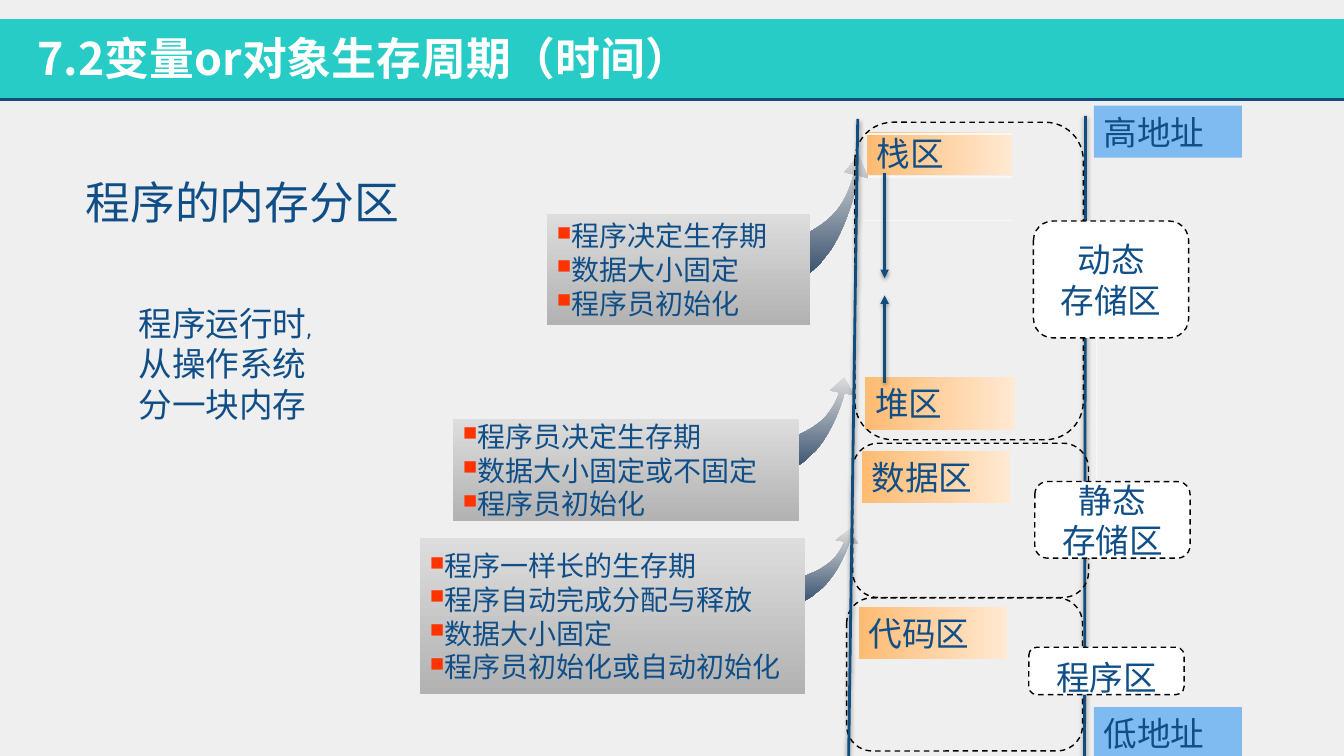
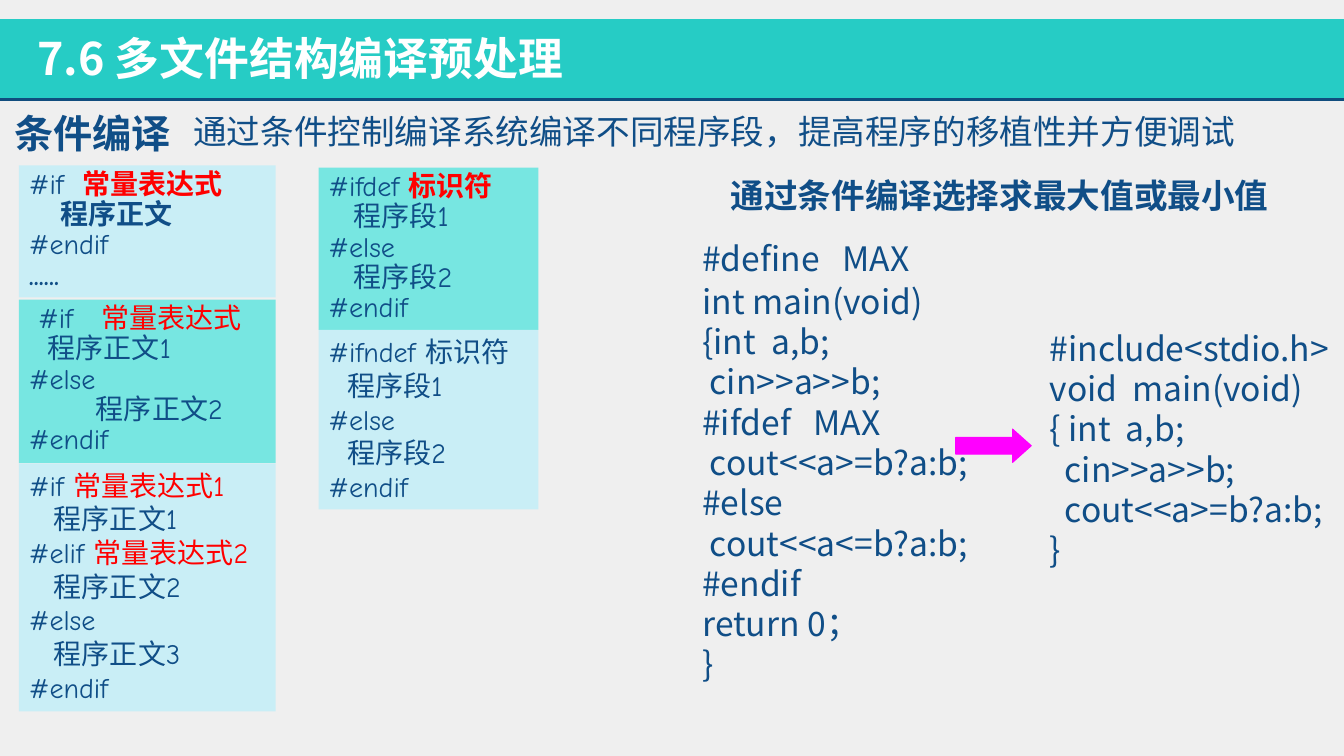
from dataclasses import dataclass, replace

from lxml import etree
from pptx import Presentation
from pptx.dml.color import RGBColor
from pptx.enum.dml import MSO_LINE_DASH_STYLE as Dash
from pptx.enum.shapes import MSO_CONNECTOR as Connector, MSO_SHAPE as Shape
from pptx.enum.text import MSO_ANCHOR as Anchor, MSO_AUTO_SIZE as AutoSize, PP_ALIGN as Align
from pptx.oxml.ns import qn
from pptx.util import Pt

WIDTH, HEIGHT = 960, 540
BACKGROUND, BAND, RULE, INK = "EFEFEF", "26CCC5", "104D7E", "104E87"
WHITE, PALE_LINE, RED, BULLET = "FFFFFF", "F8F8F8", "FF0000", "FF3300"
ADDRESS, PALE_PANEL, TEAL_PANEL, MAGENTA = "7FBAF0", "C9EEF6", "77E6E1", "FF00FF"
REGION_GRADIENT = ("FEBB72", "FFE9D2", 0)
NOTE_GRADIENT = ("DDDDDD", "B2B2B2", 270)
SWOOSH_GRADIENT = ("DDDDDD", "3C5470", 270)
SANS = "Noto Sans CJK JP"

# Curved arrow in a unit square: one point makes a line, three make a Bezier curve.
SWOOSH_START = (0, 0.78)
SWOOSH = [
    [(0.21, 0.73), (0.27, 0.75), (0.53, 0.6)], [(0.78, 0.46), (0.83, 0.25), (0.86, 0.17)],
    [(0.81, 0.16), (0.77, 0.15), (0.77, 0.15)], [(0.91, 0)], [(1, 0.2)], [(0.91, 0.18)],
    [(0.87, 0.36), (0.76, 0.65), (0.63, 0.81)], [(0.48, 0.97), (0.59, 0.87), (0.43, 1)],
]


@dataclass(frozen=True)
class TextStyle:
    size: int = 24
    font: str = "Comic Neue"
    color: str = INK
    bold: bool = False


BODY = TextStyle()
SMALL = TextStyle(20)
CODE = TextStyle(font=SANS)
TITLE = TextStyle(32, SANS, WHITE, True)


def rgb(value):
    return RGBColor.from_string(value)


def paint(shape, fill=None, line=None):
    """Fill with a colour, a (start, end, angle) gradient or nothing."""
    shape.shadow.inherit = False
    if fill is None:
        shape.fill.background()
    elif isinstance(fill, str):
        shape.fill.solid()
        shape.fill.fore_color.rgb = rgb(fill)
    else:
        shape.fill.gradient()
        shape.fill.gradient_angle = fill[2]
        for stop, color in zip(shape.fill.gradient_stops, fill):
            stop.color.rgb = rgb(color)
    if line:
        shape.line.color.rgb = rgb(line)
        shape.line.width = Pt(1)
    else:
        shape.line.fill.background()


def set_indent(paragraph, left):
    properties = paragraph._p.get_or_add_pPr()
    properties.set("marL", str(Pt(left)))
    properties.set("indent", "0")
    return properties


def add_bullet(paragraph):
    properties = set_indent(paragraph, 0)
    color = etree.SubElement(properties, qn("a:buClr"))
    etree.SubElement(color, qn("a:srgbClr"), val=BULLET)
    etree.SubElement(properties, qn("a:buSzPct"), val="70000")
    etree.SubElement(properties, qn("a:buFont"), typeface="OpenSymbol")
    etree.SubElement(properties, qn("a:buChar"), char="■")


def add_run(paragraph, text, style):
    run = paragraph.add_run()
    run.text = text
    font = run.font
    font.name, font.size, font.bold = style.font, Pt(style.size), style.bold
    font.color.rgb = rgb(style.color)
    east_asian = etree.Element(qn("a:ea"), typeface=SANS)
    run._r.rPr.find(qn("a:latin")).addnext(east_asian)


def write(shape, lines, style=BODY, align=Align.LEFT, anchor=Anchor.TOP,
          wrap=True, spacing=None, bullets=False):
    """Write lines; each is a string or a list of (text, style) runs."""
    frame = shape.text_frame
    frame.word_wrap = wrap
    frame.auto_size = AutoSize.NONE if wrap else AutoSize.SHAPE_TO_FIT_TEXT
    frame.vertical_anchor = anchor
    for index, line in enumerate(lines):
        paragraph = frame.add_paragraph() if index else frame.paragraphs[0]
        paragraph.alignment = align
        if spacing:
            paragraph.line_spacing = spacing
        if bullets:
            add_bullet(paragraph)
        for text, run_style in [(line, style)] if isinstance(line, str) else line:
            add_run(paragraph, text, run_style)


def add_box(slide, box, fill=None, line=None, kind=Shape.RECTANGLE):
    shape = slide.shapes.add_shape(kind, *map(Pt, box))
    paint(shape, fill, line)
    return shape


def add_text(slide, box, lines, style=BODY, **options):
    write(slide.shapes.add_textbox(*map(Pt, box)), lines, style, **options)


def add_line(slide, start, end, color=RULE, width=2, arrow=False, shadow=False):
    line = slide.shapes.add_connector(Connector.STRAIGHT, *map(Pt, start + end))
    line.line.color.rgb = rgb(color)
    line.line.width = Pt(width)
    if arrow:
        etree.SubElement(line.line._get_or_add_ln(), qn("a:tailEnd"), type="triangle")
    effects = etree.SubElement(line._element.spPr, qn("a:effectLst"))
    if shadow:
        outer = etree.SubElement(effects, qn("a:outerShdw"), blurRad=str(Pt(3.1)),
                                 dist=str(Pt(1.6)), dir="5400000", rotWithShape="0")
        black = etree.SubElement(outer, qn("a:srgbClr"), val="000000")
        etree.SubElement(black, qn("a:alpha"), val="38000")


def add_title_slide(presentation, title):
    slide = presentation.slides.add_slide(presentation.slide_layouts[5])
    add_box(slide, (0, 13.7, WIDTH, 57.6), BAND)
    add_line(slide, (0, 71.3), (WIDTH, 71.3))
    placeholder = slide.shapes.title
    placeholder.left, placeholder.top, placeholder.width, placeholder.height = map(
        Pt, (19.4, 18, 632, 46))
    write(placeholder, [title], TITLE)
    element = placeholder.element
    element.getparent().append(element)
    return slide


def add_tag(slide, box, text, fill):
    write(add_box(slide, box, fill), [text], anchor=Anchor.MIDDLE)


def add_dashed(slide, box, fill=None):
    shape = add_box(slide, box, fill, "000000", Shape.ROUNDED_RECTANGLE)
    shape.line.dash_style = Dash.DASH
    return shape


def add_zone(slide, frame, label, lines, drop=0):
    """Dashed frame with a white label on its right edge, its text lowered by drop."""
    add_dashed(slide, frame)
    shape = add_dashed(slide, label, WHITE)
    write(shape, lines, align=Align.CENTER, anchor=Anchor.MIDDLE)
    shape.text_frame.margin_top = Pt(3.6 + 2 * drop)


def add_swoosh(slide, box):
    left, top, width, height = box

    def place(point):
        return Pt(left + point[0] * width), Pt(top + point[1] * height)

    builder = slide.shapes.build_freeform(*place(SWOOSH_START))
    builder.add_line_segments([place(segment[-1]) for segment in SWOOSH])
    shape = builder.convert_to_shape()
    paint(shape, SWOOSH_GRADIENT)
    lines = list(shape.element.iter(qn("a:lnTo")))
    for line, segment in zip(lines, SWOOSH):
        if len(segment) == 3:
            curve = etree.Element(qn("a:cubicBezTo"))
            for x, y in map(place, segment):
                etree.SubElement(curve, qn("a:pt"), x=str(x - shape.left), y=str(y - shape.top))
            line.getparent().replace(line, curve)


def add_note(slide, box, swoosh, lines):
    add_swoosh(slide, swoosh)
    write(add_box(slide, box, NOTE_GRADIENT), lines, SMALL,
          anchor=Anchor.MIDDLE, bullets=True)


def build_memory_slide(presentation):
    slide = add_title_slide(presentation, "7.2变量or对象生存周期（时间）")
    add_line(slide, (775.4, 82.8), (774.7, HEIGHT), shadow=True)
    add_line(slide, (783.4, 220.3), (783.4, 381.6), PALE_LINE, 1)
    add_text(slide, (54, 121, 439, 45.4), ["程序的内存分区"], replace(BODY, size=32))
    add_text(slide, (91.8, 212.4, 150.5, 94.3), ["程序运行时, 从操作系统分一块内存"],
             anchor=Anchor.MIDDLE)

    regions = [
        ("数据区", (615.6, 321.8, 105.8, 37.4)),
        ("代码区", (613.4, 433.6, 105.8, 36.9)),
        ("堆区", (618, 269.3, 107.3, 37.6)),
        ("栈区", (619.2, 94.1, 103.7, 31)),
    ]
    for text, box in regions:
        add_tag(slide, box, text, REGION_GRADIENT)
    for row in range(3):
        y = 95.6 + row * 30.95
        add_line(slide, (616.3, y), (722.9, y), PALE_LINE, 1)

    add_note(slide, (299.9, 384.4, 275, 111.4), (543.8, 378, 69.1, 51.8),
             ["程序一样长的生存期", "程序自动完成分配与释放", "数据大小固定",
              "程序员初始化或自动初始化"])
    add_note(slide, (323.5, 299, 247, 73.4), (536.4, 269.3, 73.4, 64.8),
             ["程序员决定生存期", "数据大小固定或不固定", "程序员初始化"])
    add_note(slide, (390.6, 152.8, 187.9, 79.2), (546.7, 110.2, 73.4, 85),
             ["程序决定生存期", "数据大小固定", "程序员初始化"])

    add_zone(slide, (609.1, 316.6, 168.5, 110.2), (739.2, 344, 110.9, 54.7),
             ["静态", "存储区"])
    add_zone(slide, (604.8, 427, 168.5, 109.4), (734.9, 462.4, 110.9, 33.8),
             ["程序区"], drop=4)
    add_zone(slide, (610.6, 87.3, 163.2, 226.8), (738.2, 157.9, 110.9, 83.5),
             ["动态", "存储区"])

    add_line(slide, (612.7, 85), (606.2, HEIGHT), shadow=True)
    for text, top in (("低地址", 505.2), ("高地址", 75.4)):
        add_tag(slide, (781.3, top, 105.8, 37.2), text, ADDRESS)
    for start, end in ((273.6, 211), (123.8, 198.7)):
        add_line(slide, (631.9, start), (631.9, end), arrow=True, shadow=True)


def build_preprocessing_slide(presentation):
    slide = add_title_slide(presentation, "7.6 多文件结构编译预处理")
    bold, red = replace(SMALL, bold=True), replace(SMALL, color=RED)
    red_bold = replace(red, bold=True)
    add_text(slide, (3.2, 74.2, 128.2, 41), ["条件编译"], TextStyle(28, SANS, bold=True),
             wrap=False)
    add_text(slide, (131, 75.6, 798.5, 36),
             ["通过条件控制编译系统编译不同程序段，提高程序的移植性并方便调试"])

    left, right = (13.5, 183.4), (227.5, 157)
    panels = [
        (left, 118.1, 94.3, PALE_PANEL, 0.9,
         [[("#if  ", SMALL), ("常量表达式", red_bold)], [("     程序正文", bold)],
          "#endif", [("......", bold)]]),
        (left, 214, 116.6, TEAL_PANEL, 0.9,
         [[(" #if   ", SMALL), ("常量表达式", red)], "   程序正文1", "#else",
          "程序正文2", "#endif"]),
        (left, 331, 177.1, PALE_PANEL, None,
         [[("#if ", SMALL), ("常量表达式1", red)], "    程序正文1",
          [("#elif ", SMALL), ("常量表达式2", red)], "    程序正文2", "#else",
          "    程序正文3", "#endif"]),
        (right, 119.7, 115.9, TEAL_PANEL, 0.9,
         [[("#ifdef ", SMALL), ("标识符", red_bold)], "    程序段1", "#else",
          "    程序段2", "#endif"]),
        (right, 235.7, 128.2, PALE_PANEL, None,
         ["#ifndef 标识符", "   程序段1", "#else", "   程序段2", "#endif"]),
    ]
    for (x, width), top, height, fill, spacing, lines in panels:
        panel = add_box(slide, (x, top, width, height), fill)
        write(panel, lines, SMALL, spacing=spacing)
        for paragraph in panel.text_frame.paragraphs:
            if paragraph.text == "程序正文2":
                set_indent(paragraph, 48)

    add_text(slide, (480.7, 121, 466.6, 36), ["通过条件编译选择求最大值或最小值"],
             replace(CODE, bold=True), align=Align.CENTER, anchor=Anchor.MIDDLE)
    listings = [
        ((494.6, 196.8, 210.2, 298), [
            "int main(void)", "{int  a,b;", " cin>>a>>b;", "#ifdef   MAX",
            " cout<<a>=b?a:b;", "#else", " cout<<a<=b?a:b;", "#endif", "return 0；", "}"]),
        ((494.6, 166.3, 172.8, 36.7), ["#define   MAX"]),
        ((742.7, 230.4, 221.8, 211), [
            "#include<stdio.h>", "void  main(void)", "{ int  a,b;", "  cin>>a>>b;",
            "  cout<<a>=b?a:b;", "}"]),
    ]
    for box, lines in listings:
        add_text(slide, box, lines, CODE, wrap=False)
    arrow = add_box(slide, (682.6, 306.5, 54, 23.8), MAGENTA, MAGENTA, Shape.RIGHT_ARROW)
    arrow.line.width = Pt(0.75)
    arrow.adjustments[1] = 0.56


def main():
    presentation = Presentation()
    presentation.slide_width, presentation.slide_height = Pt(WIDTH), Pt(HEIGHT)
    background = presentation.slide_master.background.fill
    background.solid()
    background.fore_color.rgb = rgb(BACKGROUND)
    build_memory_slide(presentation)
    build_preprocessing_slide(presentation)
    presentation.save("out.pptx")


if __name__ == "__main__":
    main()
